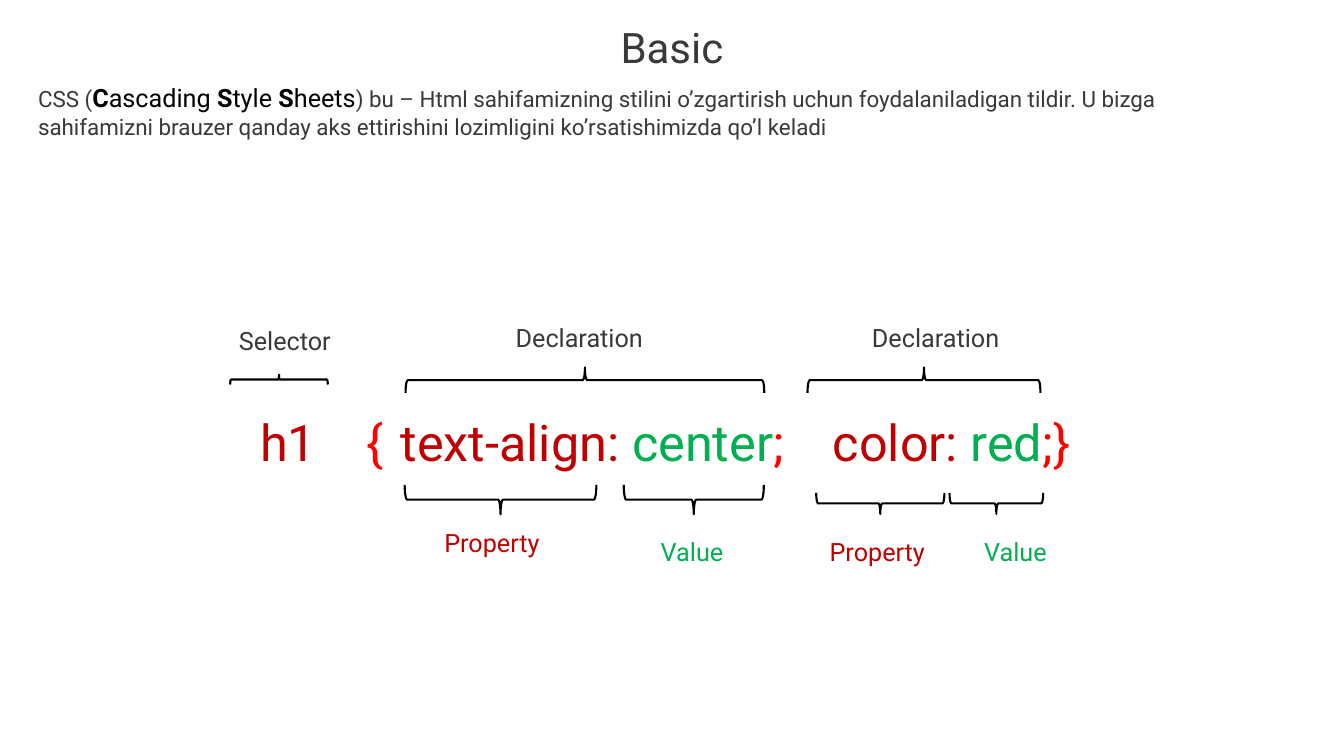
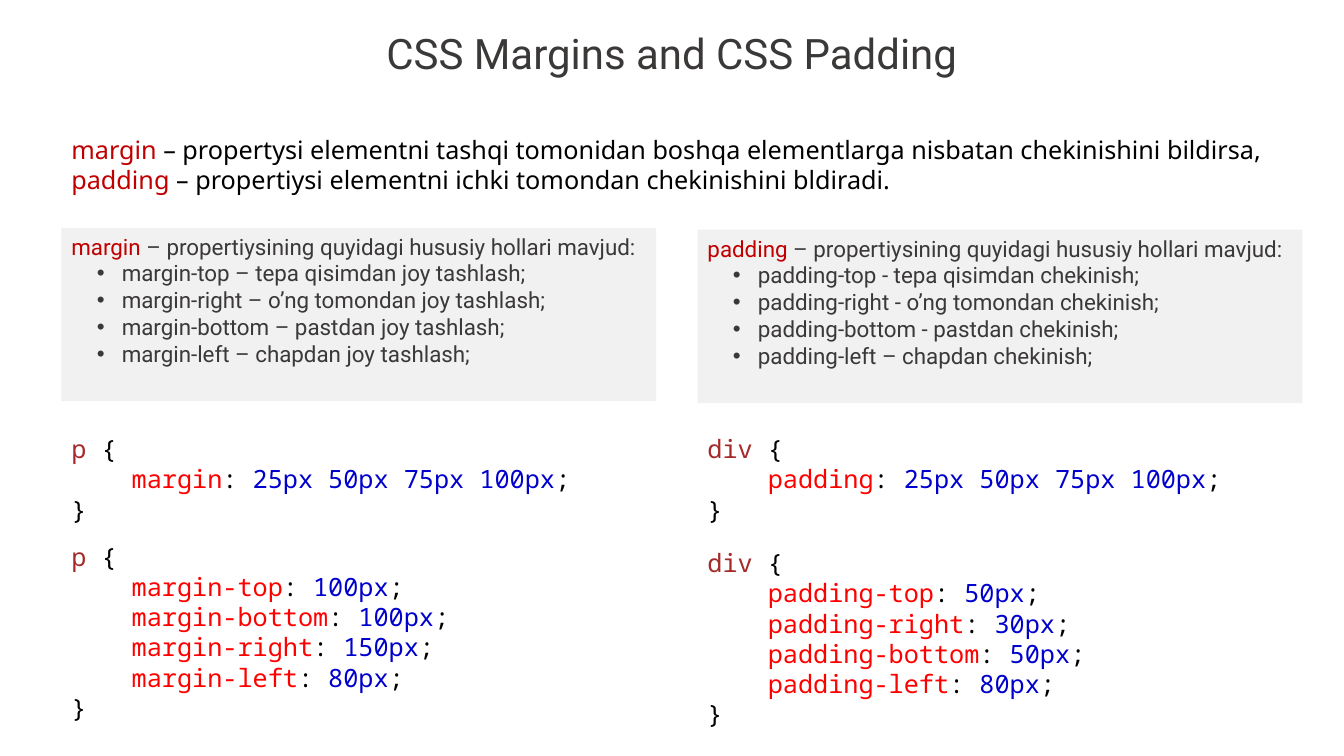
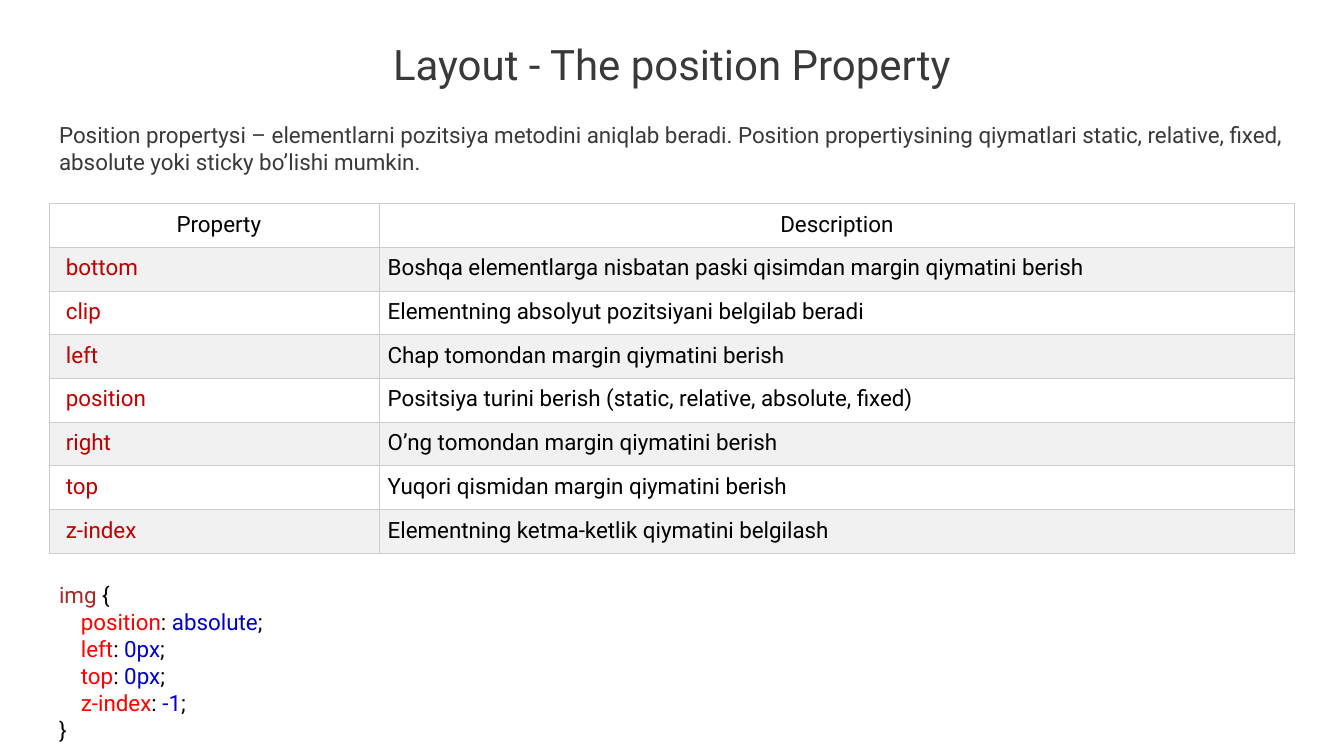
from lxml.etree import SubElement
from pptx import Presentation
from pptx.dml.color import RGBColor
from pptx.enum.shapes import MSO_SHAPE
from pptx.enum.text import MSO_ANCHOR, MSO_AUTO_SIZE, PP_ALIGN
from pptx.oxml.ns import qn
from pptx.util import Cm, Pt

INK, BLACK, WHITE, PALE, RULE = "3B3838", "000000", "FFFFFF", "F1F1F1", "CCCCCC"
CRIMSON, GREEN, RED, BROWN, BLUE = "C00000", "00B050", "FF0000", "A52A2A", "0000CD"
TEXT_FONT, WIDE_FONT, CODE_FONT = "Roboto", "Noto Sans", "Noto Sans Mono"
SLIDE_WIDTH, SLIDE_HEIGHT = 33.87, 19.05
WIDE_PITCH = 21.6


def color(value):
    """Turn a hex string into a colour."""
    return RGBColor.from_string(value)


def place(box):
    """Turn a box in centimetres into four lengths."""
    return [Cm(length) for length in box]


def format_span(span, hue, size, font=TEXT_FONT, bold=False):
    """Give one run its font, size, weight and colour."""
    span.font.name = font
    span.font.size = Pt(size)
    span.font.bold = bold
    span.font.color.rgb = color(hue)


def write(frame, lines, size, font=TEXT_FONT, align=PP_ALIGN.LEFT, pitch=None):
    """Fill a frame with lines; each is a list of (text, colour[, size, bold])."""
    frame.word_wrap = True
    for index, line in enumerate(lines):
        para = frame.paragraphs[0] if index == 0 else frame.add_paragraph()
        para.alignment = align
        if pitch:
            para.line_spacing = Pt(pitch)
        for text, hue, *extra in line:
            span = para.add_run()
            span.text = text
            span_size, bold = extra or (size, False)
            format_span(span, hue, span_size, font, bold)


def add_text(page, box, lines, size, **style):
    """Add a text box holding coloured lines."""
    frame = page.shapes.add_textbox(*place(box)).text_frame
    write(frame, lines, size, **style)


def indent(para, left, hanging=0):
    """Set the left margin and hanging indent of a paragraph."""
    properties = para._p.get_or_add_pPr()
    properties.set("marL", str(Cm(left)))
    properties.set("indent", str(-Cm(hanging)))
    return properties


def add_plain_shape(page, kind, box):
    """Add a preset shape without shadow, fill or line."""
    shape = page.shapes.add_shape(kind, *place(box))
    shape.shadow.inherit = False
    shape.fill.background()
    shape.line.fill.background()
    return shape


def add_page(deck, title, top):
    """Add a white slide with a centred title across its full width."""
    page = deck.slides.add_slide(deck.slide_layouts[5])
    page.background.fill.solid()
    page.background.fill.fore_color.rgb = color(WHITE)
    holder = page.shapes.title
    holder.left, holder.top, holder.width, holder.height = place((0, top, SLIDE_WIDTH, 1.55))
    frame = holder.text_frame
    frame.text = title
    frame.auto_size = MSO_AUTO_SIZE.NONE
    frame.vertical_anchor = MSO_ANCHOR.TOP
    frame.paragraphs[0].alignment = PP_ALIGN.CENTER
    format_span(frame.paragraphs[0].runs[0], INK, 30)
    return page


def add_brace(page, box, angle):
    """Add a brace lying in the box: 90 points up, 270 points down."""
    left, top, width, depth = box
    shift = (width - depth) / 2
    brace = add_plain_shape(page, MSO_SHAPE.LEFT_BRACE, (left + shift, top - shift, depth, width))
    brace.rotation = angle
    brace.line.color.rgb = color(BLACK)
    brace.line.width = Pt(1.5)


def add_code_line(page, box, spans, align):
    """Add a large line of code, centred vertically in its box."""
    shape = add_plain_shape(page, MSO_SHAPE.ROUNDED_RECTANGLE, box)
    frame = shape.text_frame
    frame.vertical_anchor = MSO_ANCHOR.MIDDLE
    write(frame, [spans], 36, align=align)
    return frame


def add_syntax_diagram(page, box):
    """Draw a CSS rule with braces that name its parts."""
    left, top, width, height = box
    add_code_line(page, (left + 0.51, top + 1.7, 3.51, 2.84), [("h1", CRIMSON)], PP_ALIGN.CENTER)
    rule = [("{\t", RED), ("text-align: ", CRIMSON), ("center", GREEN), (";\t", RED),
            ("color: ", CRIMSON), ("red", GREEN), (";}", RED)]
    frame = add_code_line(page, (left + 3.26, top + 1.7, width - 3.26, 2.84), rule, PP_ALIGN.LEFT)
    frame.margin_left = Cm(0.84)
    tabs = SubElement(frame.paragraphs[0]._p.get_or_add_pPr(), qn("a:tabLst"))
    for stop in (0.86, 11.75):
        SubElement(tabs, qn("a:tab"), pos=str(Cm(stop)), algn="l")

    # name, colour, label centre and top, brace box, brace angle
    parts = [
        ("Selector", INK, 2.18, 0.08, (0.8, 1.44, 2.46, 0.25), 90),
        ("Declaration", INK, 9.6, 0, (5.22, 1.26, 9.04, 0.64), 90),
        ("Declaration", INK, 18.58, 0, (15.35, 1.26, 5.87, 0.64), 90),
        ("Property", CRIMSON, 7.4, 5.16, (5.2, 4.22, 4.83, 0.74), 270),
        ("Value", GREEN, 12.44, 5.39, (10.72, 4.22, 3.53, 0.74), 270),
        ("Property", CRIMSON, 17.11, 5.39, (15.57, 4.42, 3.23, 0.53), 270),
        ("Value", GREEN, 20.59, 5.39, (18.93, 4.42, 2.36, 0.53), 270),
    ]
    label_width = 4.65
    for name, hue, center, label_top, (x, y, span_width, depth), angle in parts:
        label_box = (left + center - label_width / 2, top + label_top, label_width, 1.02)
        add_text(page, label_box, [[(name, hue)]], 18, align=PP_ALIGN.CENTER)
        add_brace(page, (left + x, top + y, span_width, depth), angle)


def add_code(page, box, selector, declarations, size=18, font=CODE_FONT, step=1.52, pitch=None):
    """Add a CSS rule with coloured syntax and indented declarations."""
    lines = [[(selector + " ", BROWN), ("{", BLACK)]]
    for name, value in declarations:
        lines.append([(name, RED), (": ", BLACK), (value, BLUE), (";", BLACK)])
    lines.append([("}", BLACK)])
    frame = page.shapes.add_textbox(*place(box)).text_frame
    write(frame, lines, size, font, pitch=pitch)
    for para in frame.paragraphs[1:-1]:
        indent(para, step)


def add_case_panel(page, box, name, cases):
    """Add a grey panel with a heading and a bulleted list."""
    panel = add_plain_shape(page, MSO_SHAPE.RECTANGLE, box)
    panel.fill.solid()
    panel.fill.fore_color.rgb = color(PALE)
    frame = panel.text_frame
    frame.vertical_anchor = MSO_ANCHOR.TOP
    heading = [(name, CRIMSON), (" – propertiysining quyidagi hususiy hollari mavjud:", INK)]
    write(frame, [heading] + [[(case, INK)] for case in cases], 16)
    for para in frame.paragraphs[1:]:
        properties = indent(para, 1.27, 0.63)
        SubElement(properties, qn("a:buFont"), typeface="Arial")
        SubElement(properties, qn("a:buChar"), char="•")


def add_spacing_column(page, box, name, cases, selector, sides, second_top):
    """Stack the panel, the short rule and the long rule of one property."""
    left, top, width, height = box
    add_case_panel(page, (left, top, width, 4.37), name, cases)
    add_code(page, (left, 10.8, width, 2.57), selector,
             [(name, "25px 50px 75px 100px")], pitch=WIDE_PITCH)
    add_code(page, (left, second_top, width, 4.88), selector,
             [(f"{name}-{side}", size) for side, size in sides], pitch=WIDE_PITCH)


def add_borders(cell):
    """Draw thin grey lines around a table cell."""
    properties = cell._tc.get_or_add_tcPr()
    for side in "LRTB":
        line = SubElement(properties, qn(f"a:ln{side}"), w=str(Pt(0.75)))
        fill = SubElement(line, qn("a:solidFill"))
        SubElement(fill, qn("a:srgbClr"), val=RULE)


def add_property_table(page, box, rows):
    """Add the striped table of properties and descriptions."""
    left, top, width, height = box
    table = page.shapes.add_table(len(rows), 2, *place(box)).table
    table.first_row = table.horz_banding = False
    first_width = 8.33
    table.columns[0].width = Cm(first_width)
    table.columns[1].width = Cm(width - first_width)
    for row_index, texts in enumerate(rows):
        for column_index, text in enumerate(texts):
            cell = table.cell(row_index, column_index)
            add_borders(cell)
            cell.fill.solid()
            cell.fill.fore_color.rgb = color(PALE if row_index % 2 else WHITE)
            cell.margin_left = Cm(0.2 if column_index else 0.42)
            cell.margin_right = cell.margin_top = cell.margin_bottom = Cm(0.2)
            header = row_index == 0
            hue = BLACK if header or column_index else CRIMSON
            align = PP_ALIGN.CENTER if header else PP_ALIGN.LEFT
            cell.text = text
            para = cell.text_frame.paragraphs[0]
            para.alignment = align
            format_span(para.runs[0], hue, 16)


def build_basic(deck):
    """Build the slide on the parts of a CSS rule."""
    page = add_page(deck, "Basic", 0.41)
    intro = [("CSS (", INK)]
    for initial, rest in (("C", "ascading "), ("S", "tyle "), ("S", "heets")):
        intro += [(initial, BLACK, 18, True), (rest, BLACK, 18, False)]
    intro.append((") bu – Html sahifamizning stilini o’zgartirish uchun foydalaniladigan tildir. "
                  "U bizga sahifamizni brauzer qanday aks ettirishini lozimligini "
                  "ko’rsatishimizda qo’l keladi", INK))
    add_text(page, (0.71, 1.96, 31.5, 1.7), [intro], 16)
    add_syntax_diagram(page, (5, 8, 23.02, 6.41))


def build_spacing(deck):
    """Build the slide that compares margin and padding."""
    page = add_page(deck, "CSS Margins and CSS Padding", 0.56)
    intro = [
        [("margin", CRIMSON), (" – propertysi elementni tashqi tomonidan boshqa elementlarga "
                               "nisbatan chekinishini bildirsa,", BLACK)],
        [("padding", CRIMSON), (" – propertiysi elementni ichki tomondan "
                                "chekinishini bldiradi.", BLACK)],
    ]
    add_text(page, (1.55, 3.25, 31.27, 1.8), intro, 18, font=WIDE_FONT, pitch=WIDE_PITCH)
    add_spacing_column(
        page, (1.55, 5.74, 14.99, 12.65), "margin",
        ["margin-top – tepa qisimdan joy tashlash;",
         "margin-right – o’ng tomondan joy tashlash;",
         "margin-bottom – pastdan joy tashlash;",
         "margin-left – chapdan joy tashlash;"],
        "p", [("top", "100px"), ("bottom", "100px"), ("right", "150px"), ("left", "80px")], 13.51)
    add_spacing_column(
        page, (17.58, 5.79, 15.24, 12.75), "padding",
        ["padding-top - tepa qisimdan chekinish;",
         "padding-right - o’ng tomondan chekinish;",
         "padding-bottom - pastdan chekinish;",
         "padding-left – chapdan chekinish;"],
        "div", [("top", "50px"), ("right", "30px"), ("bottom", "50px"), ("left", "80px")], 13.67)


def build_position(deck):
    """Build the slide on the position property."""
    page = add_page(deck, "Layout - The position Property", 0.84)
    left, width = 1.24, 31.37
    intro = ("Position propertysi – elementlarni pozitsiya metodini aniqlab beradi. Position "
             "propertiysining qiymatlari static, relative, fixed, absolute yoki sticky "
             "bo’lishi mumkin.")
    add_text(page, (left, 2.92, width, 1.63), [[(intro, INK)]], 16)
    add_property_table(page, (left, 5.13, width, 8.81), [
        ("Property", "Description"),
        ("bottom", "Boshqa elementlarga nisbatan paski qisimdan margin qiymatini berish"),
        ("clip", "Elementning absolyut pozitsiyani belgilab beradi"),
        ("left", "Chap tomondan margin qiymatini berish"),
        ("position", "Positsiya turini berish (static, relative, absolute, fixed)"),
        ("right", "O’ng tomondan margin qiymatini berish"),
        ("top", "Yuqori qismidan margin qiymatini berish"),
        ("z-index", "Elementning ketma-ketlik qiymatini belgilash"),
    ])
    add_code(page, (left, 14.53, 6.53, 4.37), "img",
             [("position", "absolute"), ("left", "0px"), ("top", "0px"), ("z-index", "-1")],
             size=16, font=TEXT_FONT, step=0.55)


deck = Presentation()
deck.slide_width, deck.slide_height = Cm(SLIDE_WIDTH), Cm(SLIDE_HEIGHT)
for build in (build_basic, build_spacing, build_position):
    build(deck)
deck.save("out.pptx")
